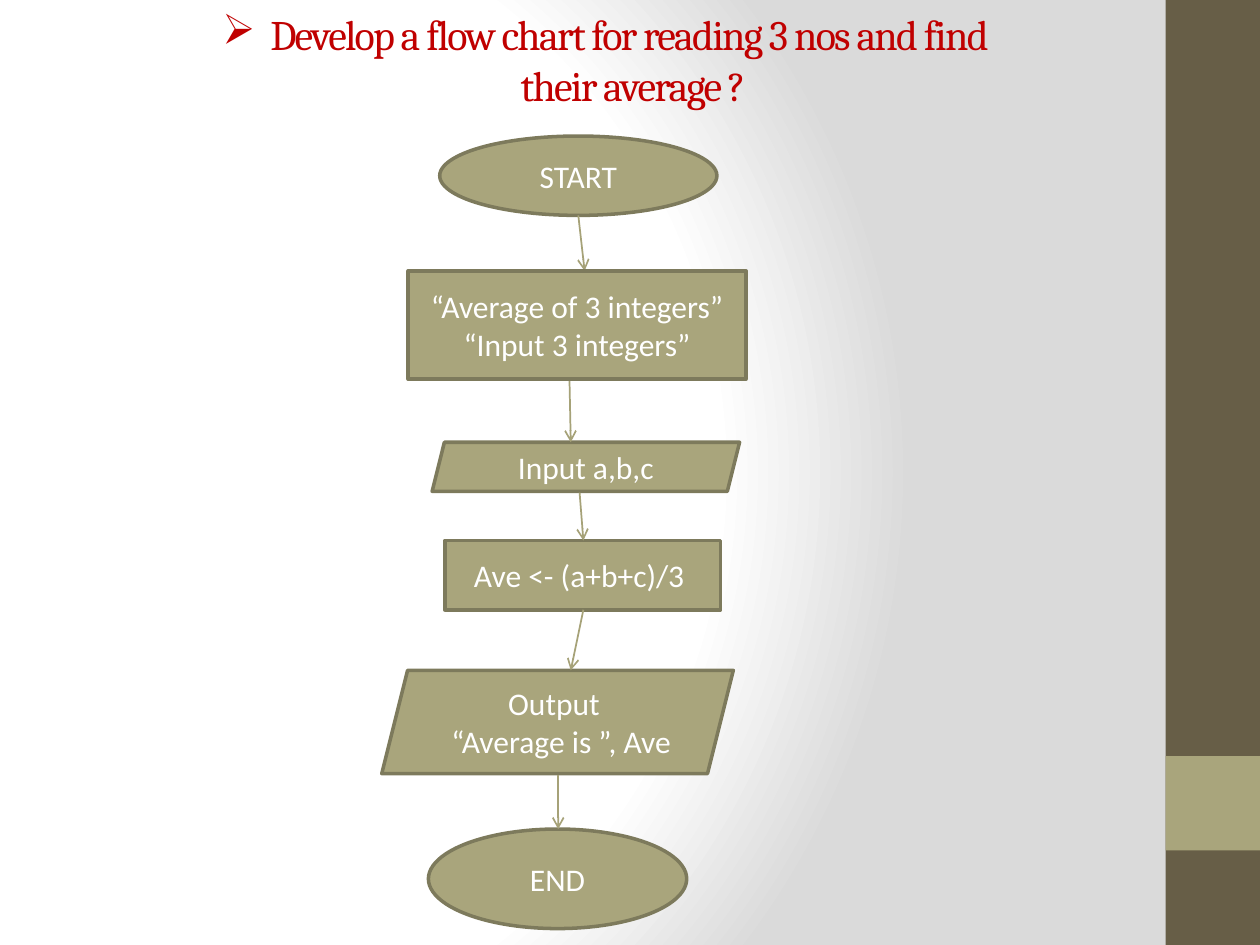
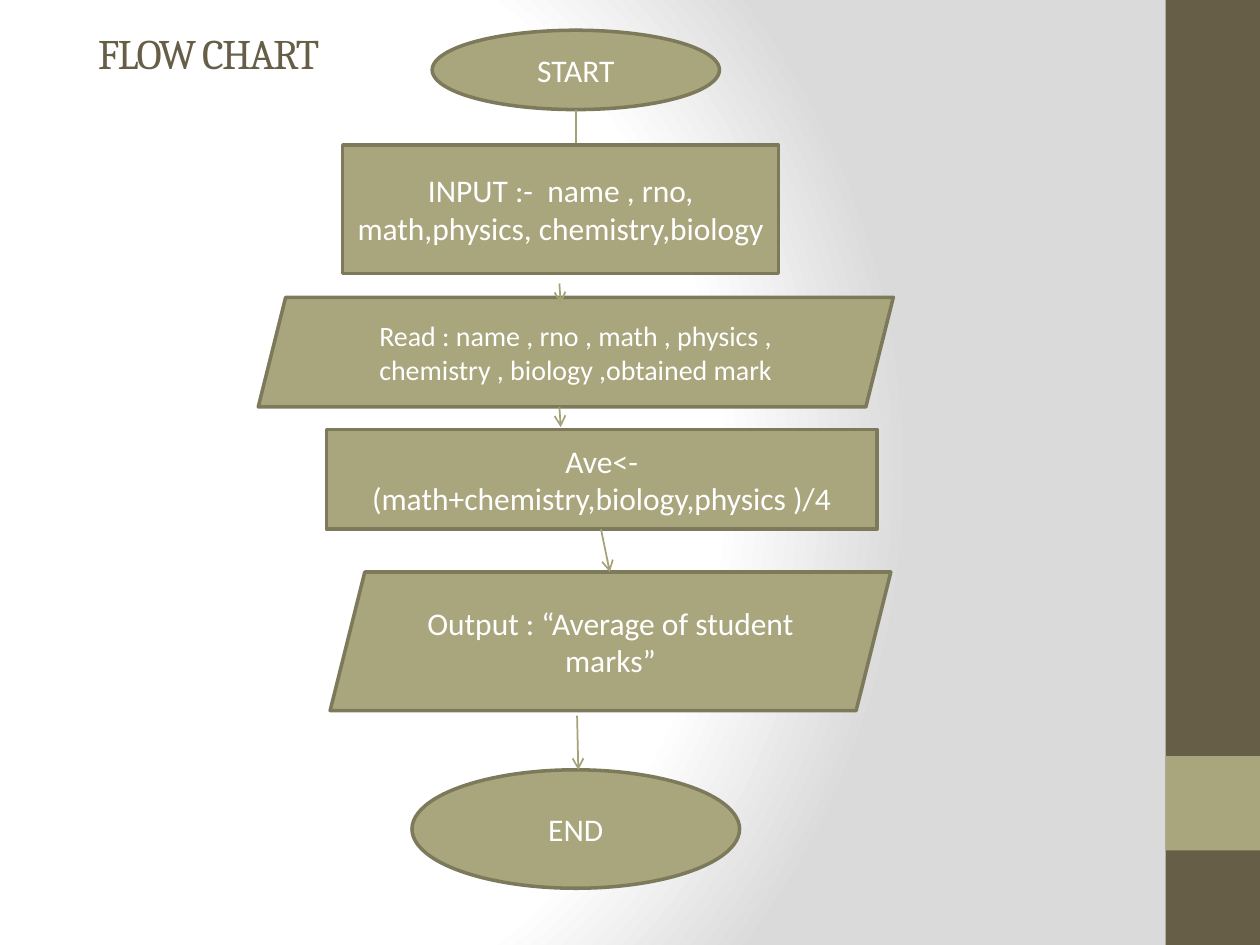
"""Build two flow chart slides about averages."""
from dataclasses import dataclass

from lxml import etree
from pptx import Presentation
from pptx.dml.color import RGBColor
from pptx.enum.shapes import MSO_CONNECTOR, MSO_SHAPE
from pptx.enum.text import MSO_ANCHOR, PP_ALIGN
from pptx.oxml import parse_xml
from pptx.oxml.ns import nsdecls, qn
from pptx.util import Inches, Pt

OVAL, BOX, SLANTED = MSO_SHAPE.OVAL, MSO_SHAPE.RECTANGLE, MSO_SHAPE.PARALLELOGRAM
STRAIGHT = MSO_CONNECTOR.STRAIGHT
CENTER = PP_ALIGN.CENTER
BOTTOM, MIDDLE = MSO_ANCHOR.BOTTOM, MSO_ANCHOR.MIDDLE


@dataclass(frozen=True)
class Theme:
    band: str = "675E47"
    step: str = "A9A57C"
    outline: str = "7D7A5C"
    arrow: str = "A6A278"
    question: str = "C00000"
    white: str = "FFFFFF"
    shade: str = "DADADA"
    title_font: str = "Cambria"
    body_font: str = "Calibri"
    title_size: int = 24
    step_size: int = 18
    small_size: int = 16


theme = Theme()


def add_block(slide, kind, bounds, color):
    shape = slide.shapes.add_shape(kind, *map(Inches, bounds))
    shape.shadow.inherit = False
    shape.fill.solid()
    shape.fill.fore_color.rgb = RGBColor.from_string(color)
    shape.line.fill.background()
    return shape


def write(shape, text, font_name, size, color, anchor):
    frame = shape.text_frame
    frame.word_wrap = True
    frame.vertical_anchor = anchor
    frame.text = text
    for paragraph in frame.paragraphs:
        paragraph.alignment = CENTER
        paragraph.font.name = font_name
        paragraph.font.size = Pt(size)
        paragraph.font.color.rgb = RGBColor.from_string(color)


bands = [((9.25, 0, 0.75, 7.5), theme.band), ((9.25, 6, 0.75, 0.75), theme.step)]

charts = [
    {
        "title": "Develop a flow chart for reading 3 nos and find\v their average ?",
        "title_bounds": (0.51, 0.21, 8.59, 0.71),
        "title_color": theme.question,
        "bullet": "➢",
        "steps": [
            (OVAL, (3.49, 1.08, 2.2, 0.63), "START", theme.step_size),
            (SLANTED, (3.43, 3.51, 2.44, 0.39), "Input a,b,c", theme.step_size),
            (BOX, (3.53, 4.29, 2.19, 0.55), "Ave <- (a+b+c)/3 ", theme.step_size),
            (SLANTED, (3.03, 5.32, 2.79, 0.82), "Output \n “Average is ”, Ave", theme.step_size),
            (OVAL, (3.4, 6.58, 2.05, 0.79), "END", theme.step_size),
        ],
        "prompt": (BOX, (3.24, 2.15, 2.68, 0.86),
                   "“Average of 3 integers”\n“Input 3 integers”", theme.step_size),
        "arrows": [
            (4.59, 1.71, 4.64, 2.15),
            (4.52, 3.01, 4.53, 3.51),
            (4.6, 3.91, 4.63, 4.29),
            (4.63, 4.84, 4.53, 5.32),
            (4.43, 6.15, 4.43, 6.58),
        ],
    },
    {
        "title": "FLOW CHART",
        "title_bounds": (-1.38, 0.13, 6.07, 0.54),
        "title_color": theme.band,
        "bullet": None,
        "steps": [
            (OVAL, (3.43, 0.24, 2.28, 0.63), "START", theme.step_size),
            (SLANTED, (2.05, 2.36, 5.04, 0.87),
             "Read : name , rno , math , physics , chemistry , biology ,obtained mark",
             theme.small_size),
            (BOX, (2.59, 3.41, 4.37, 0.79),
             "Ave<-(math+chemistry,biology,physics )/4", theme.step_size),
            (SLANTED, (2.62, 4.54, 4.45, 1.1),
             "Output : “Average of student marks”", theme.step_size),
            (OVAL, (3.27, 6.11, 2.6, 0.94), "END", theme.step_size),
        ],
        "prompt": (BOX, (2.72, 1.15, 3.46, 1.02),
                   "INPUT :-  name , rno, math,physics, chemistry,biology", theme.step_size),
        "arrows": [
            (4.57, 0.87, 4.57, 1.23),
            (4.44, 2.25, 4.45, 2.41),
            (4.44, 3.23, 4.45, 3.39),
            (4.77, 4.2, 4.84, 4.54),
            (4.58, 5.68, 4.59, 6.11),
        ],
    },
]

presentation = Presentation()
presentation.slide_width = Inches(10)
presentation.slide_height = Inches(7.5)
blank_layout = presentation.slide_layouts[6]

master = presentation.slide_master
master.background.fill.gradient()
stops = "".join(
    f'<a:gs pos="{position * 1000}"><a:srgbClr val="{color}"/></a:gs>'
    for position, color in ((0, theme.white), (75, theme.white), (100, theme.shade))
)
plain_gradient = next(master.element.iter(qn("a:gradFill")))
plain_gradient.getparent().replace(plain_gradient, parse_xml(
    f'<a:gradFill {nsdecls("a")} rotWithShape="1"><a:gsLst>{stops}</a:gsLst>'
    '<a:path path="circle"><a:fillToRect l="20000" t="50000" r="100000" b="50000"/></a:path>'
    '</a:gradFill>'
))

for chart in charts:
    slide = presentation.slides.add_slide(blank_layout)
    for bounds, color in bands:
        add_block(slide, BOX, bounds, color)

    title = slide.shapes.add_textbox(*map(Inches, chart["title_bounds"]))
    write(title, chart["title"], theme.title_font, theme.title_size, chart["title_color"], BOTTOM)
    paragraph = title.text_frame.paragraphs[0]
    for run in paragraph.runs:
        run.font._element.set("spc", "-100")
    if chart["bullet"]:
        properties = paragraph._p.get_or_add_pPr()
        properties.set("marL", str(Inches(0.38)))
        properties.set("indent", str(-Inches(0.38)))
        bullet = etree.Element(qn("a:buChar"), char=chart["bullet"])
        properties.insert(0, bullet)

    for kind, bounds, text, size in chart["steps"] + [chart["prompt"]]:
        shape = add_block(slide, kind, bounds, theme.step)
        shape.line.color.rgb = RGBColor.from_string(theme.outline)
        shape.line.width = Pt(2)
        write(shape, text, theme.body_font, size, theme.white, MIDDLE)
    prompt = shape

    for ends in chart["arrows"]:
        connector = slide.shapes.add_connector(STRAIGHT, *map(Inches, ends))
        connector.line.color.rgb = RGBColor.from_string(theme.arrow)
        connector.line.width = Pt(1)
        etree.SubElement(connector.line._get_or_add_ln(), qn("a:tailEnd"), type="arrow")
        etree.SubElement(connector._element.spPr, qn("a:effectLst"))
        prompt._element.addprevious(connector._element)

presentation.save("out.pptx")
